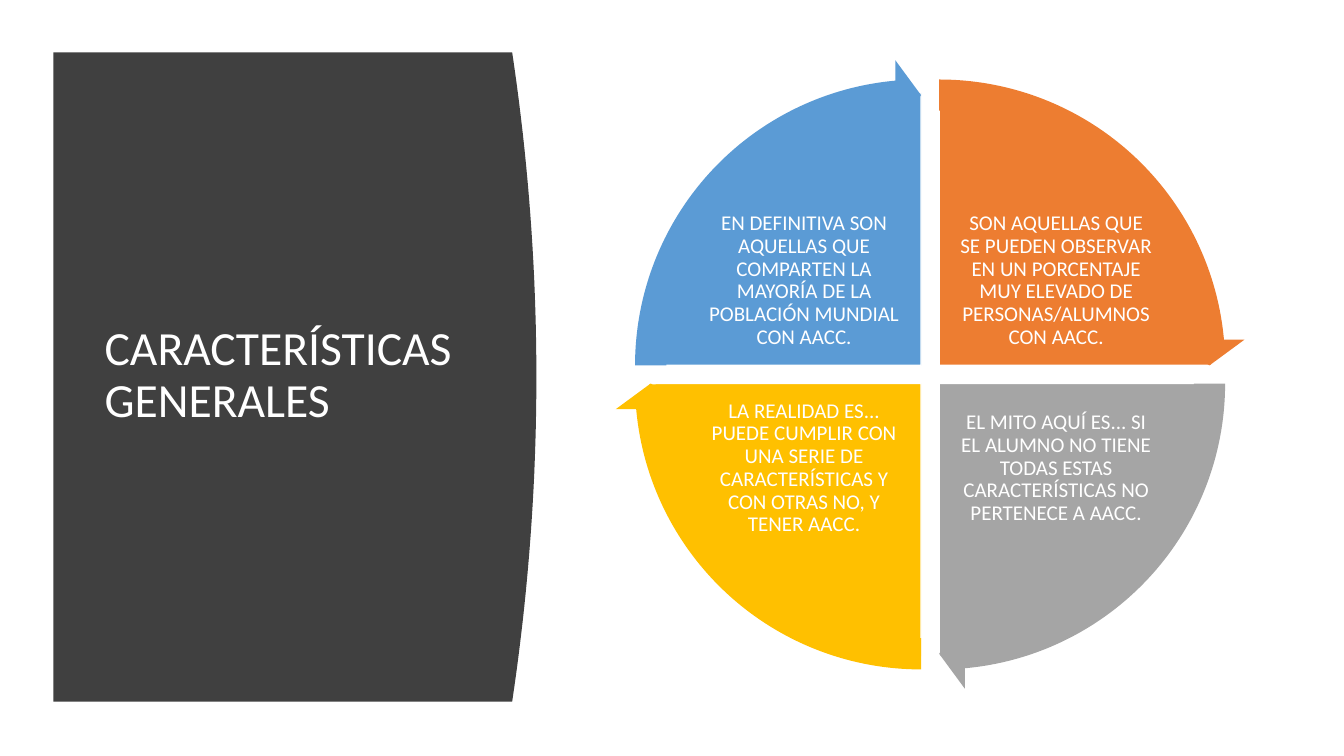
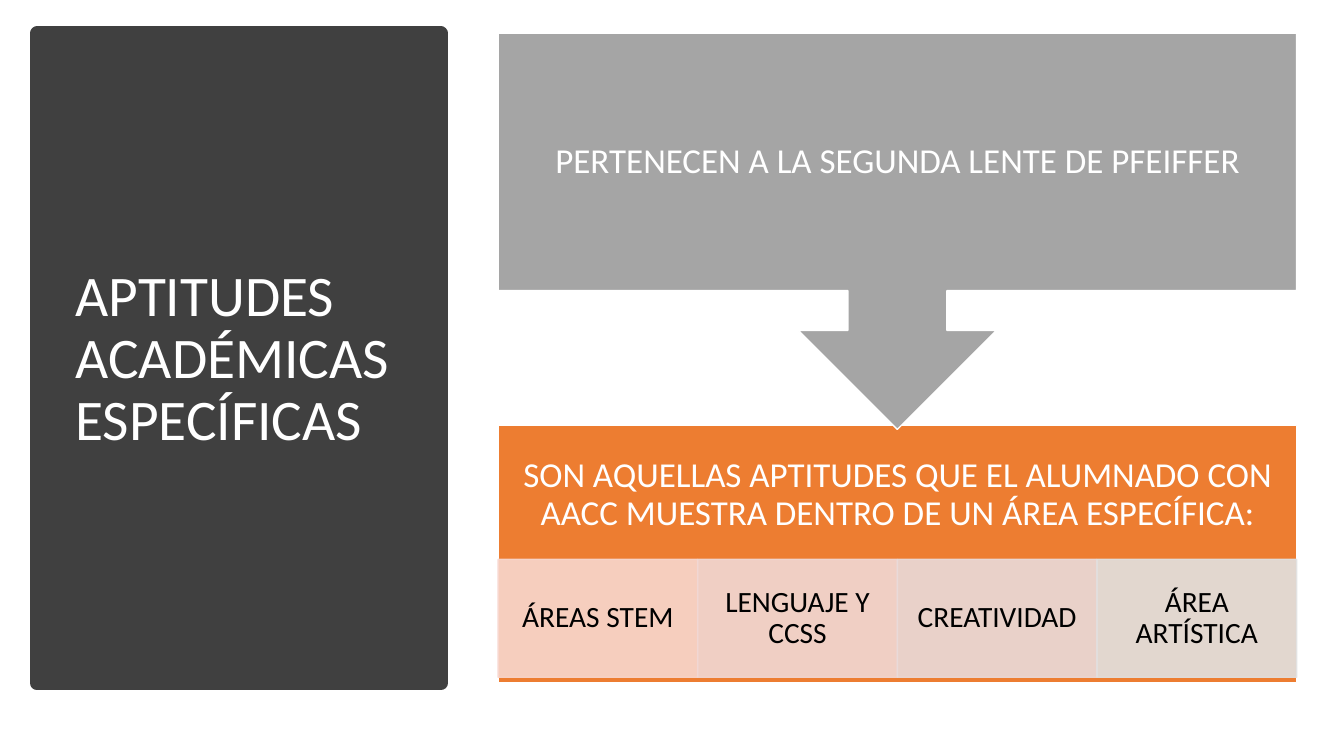
from dataclasses import dataclass
from typing import NamedTuple

from lxml import etree
from pptx import Presentation
from pptx.dml.color import RGBColor
from pptx.enum import shapes, text
from pptx.oxml import ns
from pptx.util import Inches, Pt

PRESET = shapes.MSO_SHAPE


class Box(NamedTuple):
    left: float
    top: float
    width: float
    height: float

    def lengths(self):
        return [Inches(value) for value in self]


@dataclass(frozen=True)
class Theme:
    font: str = "Calibri"
    panel: str = "404040"
    white: str = "FFFFFF"
    black: str = "000000"
    orange: str = "ED7D31"
    gray: str = "A5A5A5"
    gold: str = "FFC000"
    blue: str = "5B9BD5"
    tints: tuple = ("F8D7CE", "F1D8D4", "E9DBDA", "E1E1E1")
    wheel_title_size: float = 34
    flow_title_size: float = 41
    wheel_size: float = 15
    flow_size: float = 25
    area_size: float = 21
    line_spacing: float = 0.9


THEME = Theme()


def set_alpha(fill_owner, percent):
    """Make every solid colour below an XML element partly transparent."""
    for color in fill_owner.iter(ns.qn("a:srgbClr")):
        etree.SubElement(color, ns.qn("a:alpha")).set("val", str(percent * 1000))


def paint(shape, fill, line=None, line_width=1, alpha=None):
    shape.shadow.inherit = False
    shape.fill.solid()
    shape.fill.fore_color.rgb = RGBColor.from_string(fill)
    if line:
        shape.line.color.rgb = RGBColor.from_string(line)
        shape.line.width = Pt(line_width)
    else:
        shape.line.fill.background()
    if alpha is not None:
        set_alpha(shape.fill._xPr, alpha)
    return shape


def add_preset(slide, preset, box, fill, adjustments=(), **style):
    shape = slide.shapes.add_shape(preset, *box.lengths())
    for index, value in enumerate(adjustments):
        shape.adjustments[index] = value
    return paint(shape, fill, **style)


def write(shape, words, size, color=THEME.white, align="CENTER", insets=(0.1, 0.05)):
    frame = shape.text_frame
    frame.word_wrap = True
    frame.vertical_anchor = text.MSO_ANCHOR.MIDDLE
    frame.margin_left = frame.margin_right = Inches(insets[0])
    frame.margin_top = frame.margin_bottom = Inches(insets[1])
    paragraph = frame.paragraphs[0]
    paragraph.alignment = getattr(text.PP_ALIGN, align)
    paragraph.line_spacing = THEME.line_spacing
    run = paragraph.add_run()
    run.text = words
    run.font.name = THEME.font
    run.font.size = Pt(size)
    run.font.color.rgb = RGBColor.from_string(color)


def add_text(slide, box, words, **style):
    write(slide.shapes.add_textbox(*box.lengths()), words, **style)


def add_title(slide, panel, margins, words, size):
    """Centre the title vertically inside its dark panel."""
    left, top, right, bottom = margins
    box = Box(panel.left + left, panel.top + top,
              panel.width - left - right, panel.height - top - bottom)
    add_text(slide, box, words, size=size, align="LEFT")


def add_curved_panel(slide, box, bulge=0.24, steps=40):
    """Dark panel whose right side bulges along a parabola."""
    curve = []
    for step in range(steps + 1):
        across = 2 * step / steps - 1
        x = box.left + box.width - bulge * across ** 2
        y = box.top + box.height * step / steps
        curve.append((Inches(x), Inches(y)))
    left, top = Inches(box.left), Inches(box.top)
    builder = slide.shapes.build_freeform(left, top, scale=1.0)
    builder.add_line_segments(curve + [(left, Inches(box.top + box.height))], close=True)
    paint(builder.convert_to_shape(), THEME.panel)


def add_cycle_wheel(slide, box, quarters, gap=0.18):
    """Four pie quarters, clockwise from top right, each with an arrow."""
    diameter = box.width - gap
    arrow_extra = 0.335
    label_width, label_height = 2, 1.48
    arrows = []
    for index, (words, color) in enumerate(quarters):
        on_right, on_bottom = index in (0, 1), index in (1, 2)
        left = box.left + gap * on_right
        top = box.top + gap * on_bottom
        start = (162 + 54 * index) % 216
        add_preset(slide, PRESET.PIE, Box(left, top, diameter, diameter), color,
                   (start, (start + 54) % 216), line=THEME.white)

        # Label beside the quarter's inner corner
        center_x, center_y = left + diameter / 2, top + diameter / 2
        label = Box(center_x + (0.16 if on_right else -0.16 - label_width),
                    center_y + (0.1 if on_bottom else -0.1 - label_height),
                    label_width, label_height)
        add_text(slide, label, words, size=THEME.wheel_size, insets=(0.02, 0.02))
        arrow_size = diameter + 2 * arrow_extra
        arrows.append((Box(left - arrow_extra, top - arrow_extra, arrow_size, arrow_size),
                       color, start))

    # Arrows lie above all quarters
    for arrow_box, color, start in arrows:
        add_preset(slide, PRESET.CIRCULAR_ARROW, arrow_box, color,
                   (0.051, 3.275, (start + 50.725) % 216, start, 0.059))


def add_area_flow(slide, box, heading, statement, areas):
    """Callout on top pointing at a block with a row of areas."""
    block = Box(box.left, box.top + 3.89, box.width, box.height - 3.89)
    add_preset(slide, PRESET.RECTANGLE, block, THEME.orange, line=THEME.white)
    add_text(slide, block._replace(height=1.38), statement,
             size=THEME.flow_size, insets=(0.19, 0.19))

    # Row of areas
    area_width = box.width / len(areas)
    for index, (words, tint) in enumerate(zip(areas, THEME.tints)):
        area = Box(box.left + index * area_width, block.top + 1.33, area_width, 1.17)
        cell = add_preset(slide, PRESET.RECTANGLE, area, tint, line=tint, alpha=90)
        set_alpha(cell.line._ln, 90)
        write(cell, words, size=THEME.area_size, color=THEME.black, insets=(0.16, 0.03))

    # Callout
    callout = add_preset(slide, PRESET.UP_ARROW_CALLOUT, box._replace(height=3.93),
                         THEME.gray, line=THEME.white)
    callout.rotation = 180
    add_text(slide, box._replace(height=2.55), heading,
             size=THEME.flow_size, insets=(0.19, 0.19))


def build_general_slide(slide):
    panel = Box(0.53, 0.52, 4.79, 6.44)
    add_curved_panel(slide, panel)
    add_title(slide, panel, (0.41, 0.59, 0.64, 0.61),
              "CARACTERÍSTICAS GENERALES", THEME.wheel_title_size)
    add_cycle_wheel(slide, Box(6.43, 0.92, 5.59, 5.59), [
        ("SON AQUELLAS QUE SE PUEDEN OBSERVAR EN UN PORCENTAJE MUY ELEVADO "
         "DE PERSONAS/ALUMNOS CON AACC.", THEME.orange),
        ("EL MITO AQUÍ ES... SI EL ALUMNO NO TIENE TODAS ESTAS CARACTERÍSTICAS "
         "NO PERTENECE A AACC.", THEME.gray),
        ("LA REALIDAD ES... PUEDE CUMPLIR CON UNA SERIE DE CARACTERÍSTICAS "
         "Y CON OTRAS NO, Y TENER AACC.", THEME.gold),
        ("EN DEFINITIVA SON AQUELLAS QUE COMPARTEN LA MAYORÍA DE LA "
         "POBLACIÓN MUNDIAL CON AACC.", THEME.blue),
    ])


def build_aptitudes_slide(slide):
    panel = Box(0.37, 0.33, 4, 6.45)
    add_preset(slide, PRESET.RECTANGLE, panel, THEME.panel,
               line=THEME.panel, line_width=10)
    add_title(slide, panel, (0.28, 0.37, 0.26, 0.33),
              "APTITUDES ACADÉMICAS ESPECÍFICAS", THEME.flow_title_size)
    add_area_flow(
        slide, Box(4.94, 0.33, 7.92, 6.44),
        heading="PERTENECEN A LA SEGUNDA LENTE DE PFEIFFER",
        statement="SON AQUELLAS APTITUDES QUE EL ALUMNADO CON AACC MUESTRA "
                  "DENTRO DE UN ÁREA ESPECÍFICA:",
        areas=["ÁREAS STEM", "LENGUAJE Y CCSS", "CREATIVIDAD", "ÁREA ARTÍSTICA"])


def main():
    presentation = Presentation()
    presentation.slide_width = Inches(13.33)
    presentation.slide_height = Inches(7.5)
    blank = presentation.slide_layouts[6]
    for build in (build_general_slide, build_aptitudes_slide):
        build(presentation.slides.add_slide(blank))
    presentation.save("out.pptx")


if __name__ == "__main__":
    main()
